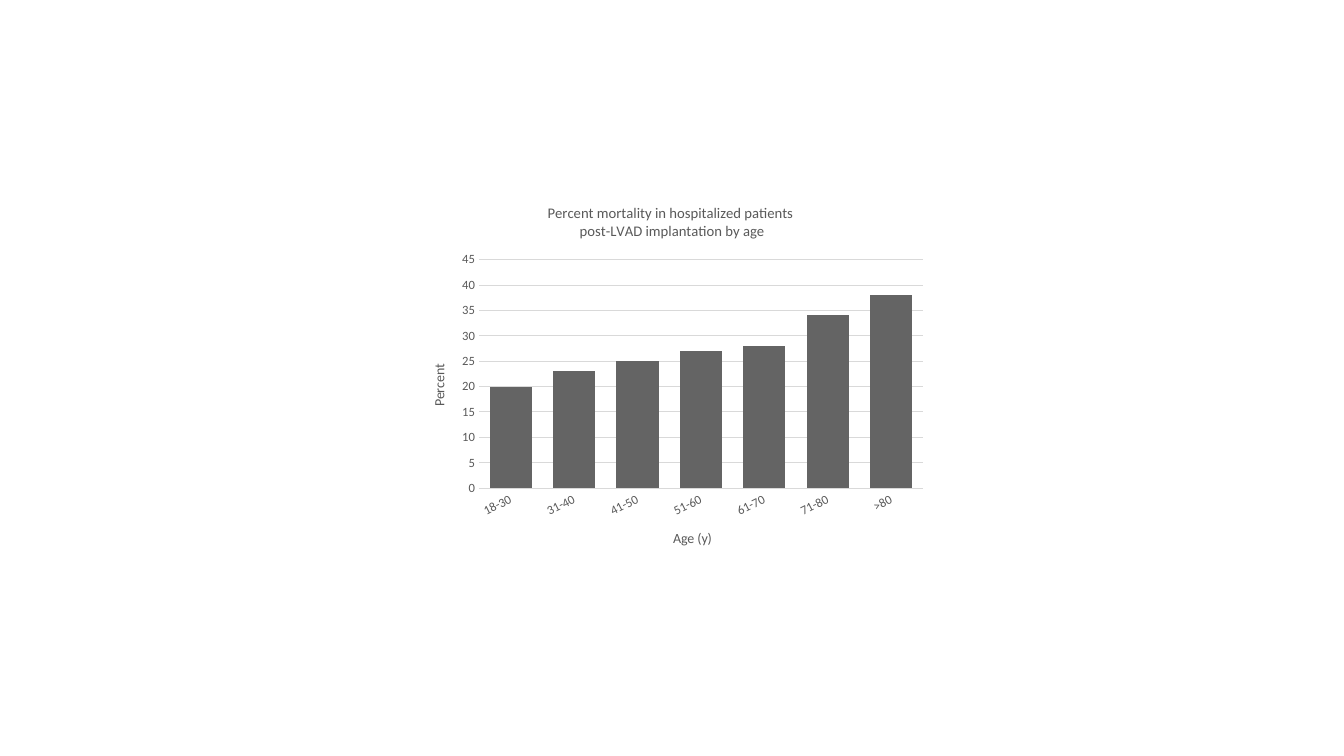
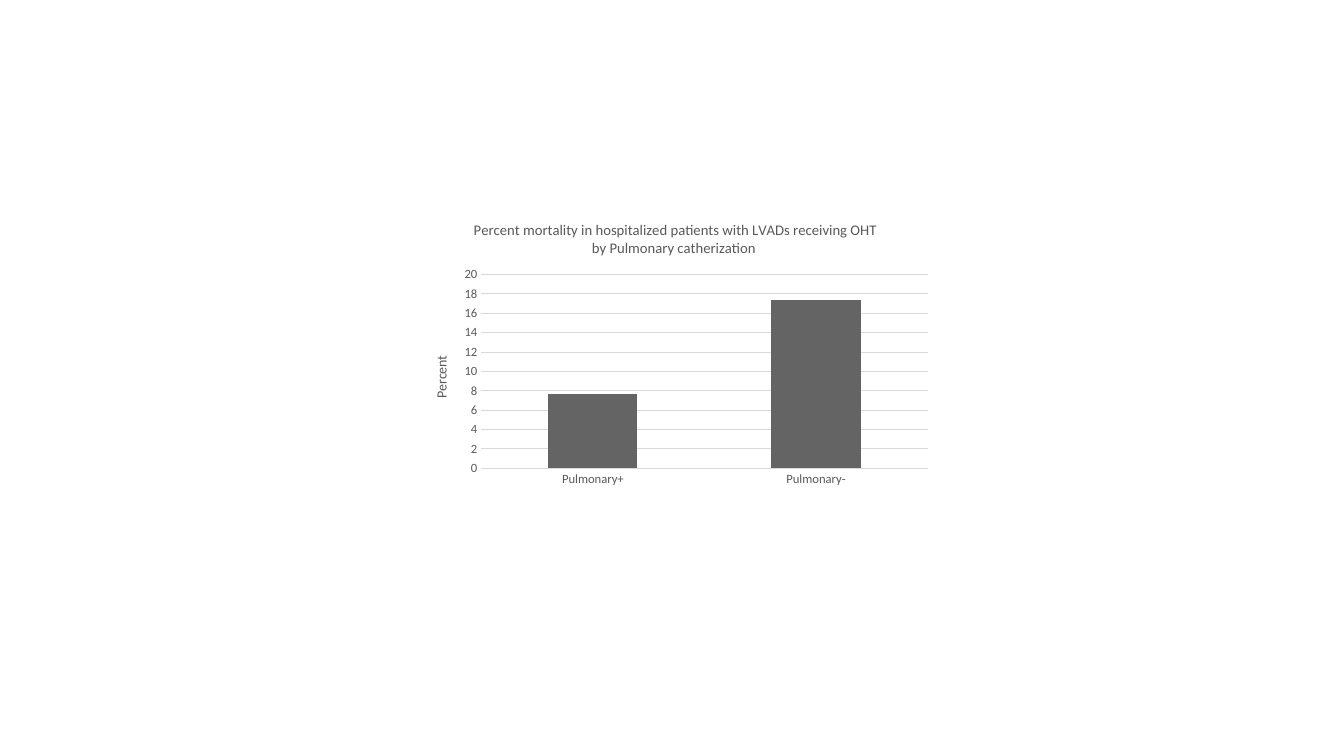
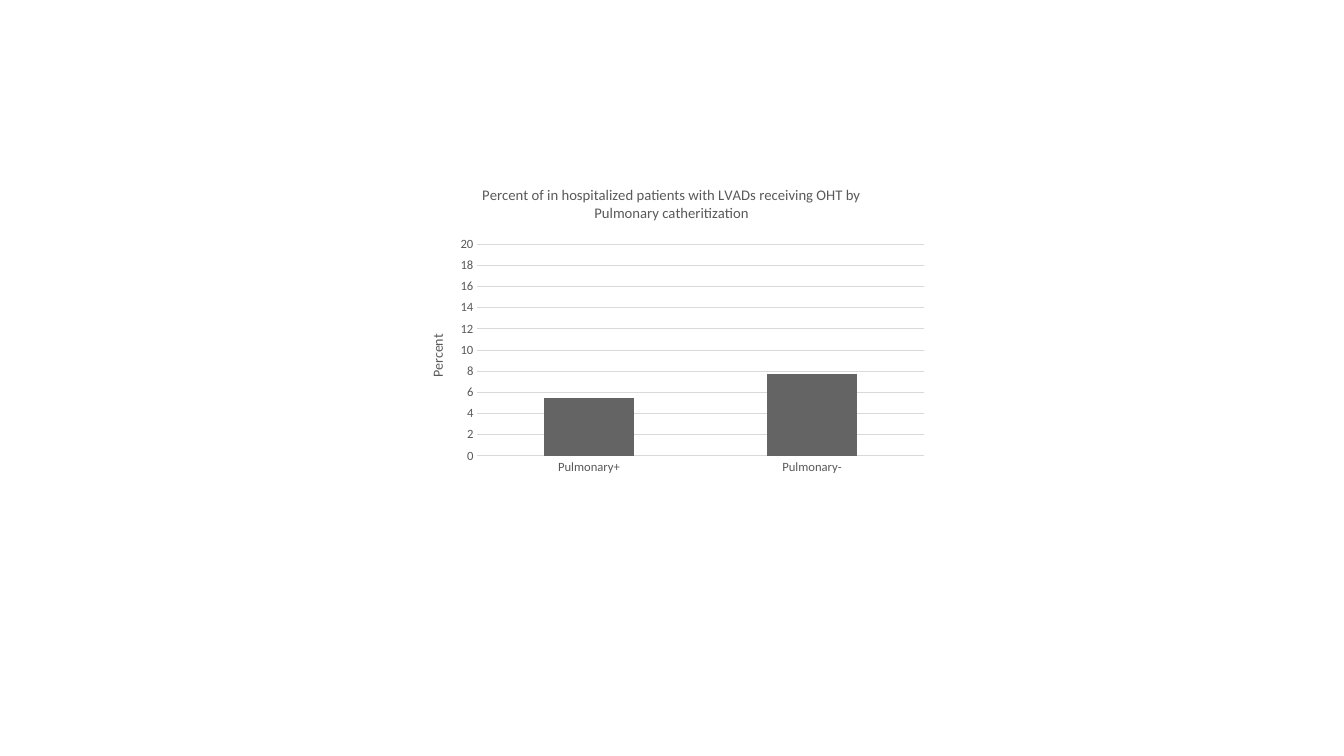
"""Build three column charts on mortality in LVAD patients."""
from pptx import Presentation
from pptx import util as u
from pptx.chart.data import CategoryChartData
from pptx.dml.color import RGBColor
from pptx.enum import chart as ch
from pptx.oxml import parse_xml
from pptx.oxml.ns import nsdecls

COLORS = {"bar": "646464", "text": "595959", "grid": "D9D9D9"}
FONT = "Calibri"
PLOT_X, PLOT_W = 0.13, 0.85
CATHETER_GROUPS = ["Pulmonary+", "Pulmonary-"]

CHARTS = [
    {"title": ["Percent mortality in hospitalized patients ",
               "post-LVAD implantation by age"],
     "cats": ["18-30", "31-40", "41-50", "51-60", "61-70", "71-80", ">80"],
     "vals": [20, 23, 25, 27, 28, 34, 38],
     "type": ch.XL_CHART_TYPE.COLUMN_STACKED, "gap": 50, "overlap": 100,
     "box": (10.36, 4.72, 13.16, 9.6), "plot": (0.19, 0.6),
     "max": 45, "step": 5, "cat_title": "Age (y)", "label_angle": -27},
    {"title": ["Percent mortality in hospitalized patients with LVADs "
               "receiving OHT by Pulmonary catherization "],
     "cats": CATHETER_GROUPS, "vals": [7.7, 17.4],
     "type": ch.XL_CHART_TYPE.COLUMN_CLUSTERED, "gap": 150, "overlap": -100,
     "box": (10.41, 5.18, 13.23, 8.28), "plot": (0.21, 0.59),
     "max": 20, "step": 2},
    {"title": ["Percent of in hospitalized patients with LVADs "
               "receiving OHT by Pulmonary catheritization"],
     "cats": CATHETER_GROUPS, "vals": [5.5, 7.7],
     "type": ch.XL_CHART_TYPE.COLUMN_CLUSTERED, "gap": 150, "overlap": -100,
     "box": (10.31, 4.29, 13.23, 8.89), "plot": (0.21, 0.6),
     "max": 20, "step": 2},
]


def color(name):
    return RGBColor.from_string(COLORS[name])


def style_font(font, size):
    font.name, font.size, font.bold = FONT, u.Pt(size), False
    font.color.rgb = color("text")


def style_line(line):
    line.color.rgb = color("grid")
    line.width = u.Pt(0.75)


def add_title(owner, lines, size):
    tf = owner.text_frame
    for i, line in enumerate(lines):
        p = tf.paragraphs[0] if i == 0 else tf.add_paragraph()
        r = p.add_run()
        r.text = line
        style_font(r.font, size)
    return tf


def rotate(body, degrees):
    body.set("rot", str(degrees * 60000))
    body.set("vert", "horz")


def place_plot(chart, y, h):
    area = chart.element.xpath("c:chart/c:plotArea")[0]
    for old in area.xpath("c:layout"):
        area.remove(old)
    sizes = "".join(f'<c:{k} val="{v}"/>' for k, v in
                    (("x", PLOT_X), ("y", y), ("w", PLOT_W), ("h", h)))
    area.insert(0, parse_xml(
        f'<c:layout {nsdecls("c")}><c:manualLayout>'
        '<c:layoutTarget val="inner"/><c:xMode val="edge"/>'
        f'<c:yMode val="edge"/>{sizes}</c:manualLayout></c:layout>'))


def add_column_chart(s, d):
    data = CategoryChartData()
    data.categories = d["cats"]
    data.add_series("Series 1", d["vals"])
    box = [u.Cm(v) for v in d["box"]]
    chart = s.shapes.add_chart(d["type"], *box, data).chart
    chart.font.name, chart.font.size = FONT, u.Pt(10)
    chart.has_legend = False
    chart.has_title = True
    add_title(chart.chart_title, d["title"], 10.5)
    chart.chart_title.include_in_layout = False

    plot = chart.plots[0]
    plot.vary_by_categories = False
    plot.gap_width, plot.overlap = d["gap"], d["overlap"]
    fill = plot.series[0].format.fill
    fill.solid()
    fill.fore_color.rgb = color("bar")

    cat, val = chart.category_axis, chart.value_axis
    for axis in (cat, val):
        axis.major_tick_mark = axis.minor_tick_mark = ch.XL_TICK_MARK.NONE
        style_font(axis.tick_labels.font, 9)
    style_line(cat.format.line)
    val.format.line.fill.background()
    val.has_major_gridlines = True
    style_line(val.major_gridlines.format.line)
    val.minimum_scale, val.maximum_scale = 0, d["max"]
    val.major_unit = d["step"]
    tf = add_title(val.axis_title, ["Percent"], 10)
    rotate(tf._txBody.bodyPr, -90)
    if "cat_title" in d:
        add_title(cat.axis_title, [d["cat_title"]], 10)
    if "label_angle" in d:
        rotate(cat._element.xpath("c:txPr/a:bodyPr")[0], d["label_angle"])
    place_plot(chart, *d["plot"])


prs = Presentation()
prs.slide_width, prs.slide_height = u.Cm(33.87), u.Cm(19.05)
for d in CHARTS:
    add_column_chart(prs.slides.add_slide(prs.slide_layouts[6]), d)
prs.save("out.pptx")
